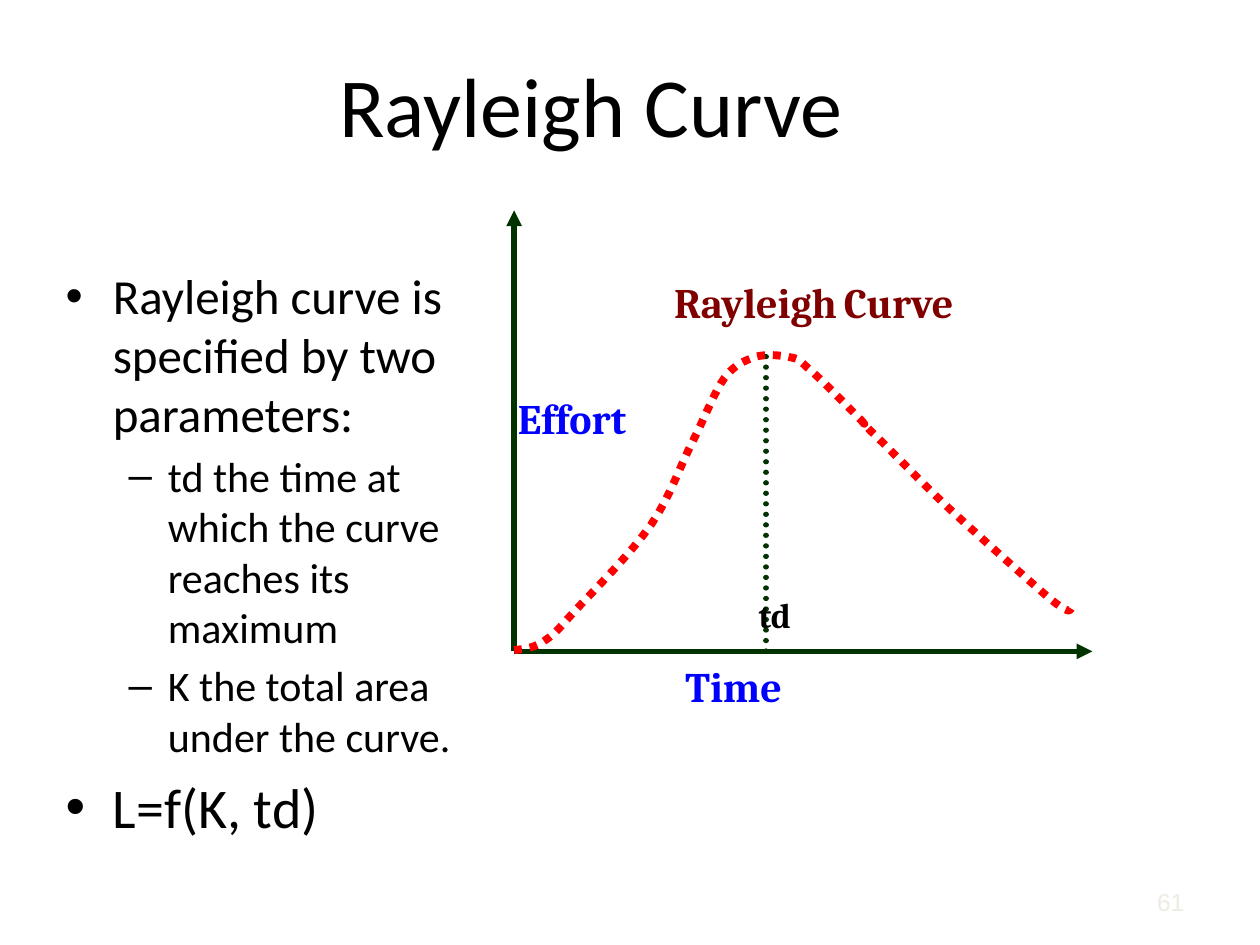
import lxml.etree
import pptx
import pptx.dml.color
import pptx.enum.dml
import pptx.enum.shapes
import pptx.enum.text
import pptx.oxml.ns
import pptx.util
from pptx.util import Inches

COLORS = {"text": "000000", "axis": "003300", "curve": "FF0000",
          "label": "0000FF", "heading": "800000", "number": "EEECE1"}
DOT = pptx.enum.dml.MSO_LINE.ROUND_DOT
qn = pptx.oxml.ns.qn


def set_font(font, name, size, color, bold=False):
    font.name, font.size, font.bold = name, pptx.util.Pt(size), bold
    font.color.rgb = pptx.dml.color.RGBColor.from_string(COLORS[color])


def set_frame(sp, left, top, width, height):
    sp.left, sp.top, sp.width, sp.height = map(Inches, (left, top, width, height))
    tf = sp.text_frame
    tf.word_wrap = True
    tf.auto_size = pptx.enum.text.MSO_AUTO_SIZE.NONE
    tf.margin_left = tf.margin_right = Inches(0.02)
    tf.margin_top = tf.margin_bottom = Inches(0.05)
    return tf


prs = pptx.Presentation()
prs.slide_width, prs.slide_height = Inches(10), Inches(7.5)
s = prs.slides.add_slide(prs.slide_layouts[1])

# Title
tf = set_frame(s.shapes.title, 0.44, 0.2, 8.5, 1.25)
p = tf.paragraphs[0]
p.text = "Rayleigh Curve"
p.alignment = pptx.enum.text.PP_ALIGN.CENTER
p.space_before = pptx.util.Pt(12.1)
set_font(p.font, "Calibri", 48, "text")

# Bullet list: level, size, space before, text
bullets = [
    (0, 28, 5.2, "Rayleigh curve is specified by two parameters:"),
    (1, 24, 4.5, "td the time at which the curve reaches its maximum"),
    (1, 24, 4.5, "K the total area under the curve."),
    (0, 32, 7.1, "L=f(K, td)"),
]
tf = set_frame(s.placeholders[1], 0.5, 2.06, 3.33, 4.56)
for i, (level, size, before, text) in enumerate(bullets):
    p = tf.add_paragraph() if i else tf.paragraphs[0]
    p.text, p.level = text, level
    p.space_before = pptx.util.Pt(before)
    set_font(p.font, "Calibri", size, "text")

# Axes with arrowheads, and the dotted line at the peak
origin = (4.08, 5.17)
lines = [(origin, (4.08, 1.67), True), (origin, (8.67, 5.17), True),
         ((6.08, 2.83), (6.08, 5.17), False)]
for start, end, is_axis in lines:
    sp = s.shapes.add_connector(pptx.enum.shapes.MSO_CONNECTOR.STRAIGHT,
                                *map(Inches, start + end))
    sp.line.width = pptx.util.Pt(3)
    sp.line.color.rgb = pptx.dml.color.RGBColor.from_string(COLORS["axis"])
    ln = sp.line._get_or_add_ln()
    if is_axis:
        lxml.etree.SubElement(ln, qn("a:tailEnd"), type="triangle")
    else:
        sp.line.dash_style = DOT
        ln.set("cap", "rnd")
    lxml.etree.SubElement(sp._element.spPr, qn("a:effectLst"))

# Rayleigh curve: Bezier segments sampled into short steps
start = (4.08, 5.16)
segments = [
    ((4.17, 5.15), (4.25, 5.14), (4.33, 5.08)),
    ((4.42, 5.02), (4.44, 4.98), (4.58, 4.83)),
    ((4.72, 4.68), (5.01, 4.39), (5.17, 4.16)),
    ((5.32, 3.94), (5.4, 3.69), (5.5, 3.5)),
    ((5.6, 3.3), (5.67, 3.11), (5.75, 3)),
    ((5.83, 2.89), (5.92, 2.86), (6, 2.83)),
    ((6.08, 2.81), (6.18, 2.82), (6.25, 2.83)),
    ((6.32, 2.85), (6.32, 2.83), (6.41, 2.92)),
    ((6.51, 3), (6.75, 3.25), (6.83, 3.33)),
    ((6.91, 3.42), (6.79, 3.29), (6.91, 3.42)),
    ((7.04, 3.54), (7.34, 3.86), (7.58, 4.08)),
    ((7.82, 4.3), (8.18, 4.62), (8.33, 4.75)),
    ((8.48, 4.87), (8.49, 4.85), (8.5, 4.83)),
]
steps = 8
points = [start]
for c1, c2, end in segments:
    a = points[-1]
    for i in range(1, steps + 1):
        t = i / steps
        u = 1 - t
        points.append(tuple(
            u**3 * a[k] + 3 * u * u * t * c1[k] + 3 * u * t * t * c2[k] + t**3 * end[k]
            for k in (0, 1)))
points = [(Inches(x), Inches(y)) for x, y in points]
fb = s.shapes.build_freeform(*points[0])
fb.add_line_segments(points[1:], close=False)
sp = fb.convert_to_shape()
sp.shadow.inherit = False
sp.fill.background()
sp.line.width = pptx.util.Pt(4.5)
sp.line.color.rgb = pptx.dml.color.RGBColor.from_string(COLORS["curve"])
sp.line.dash_style = DOT

# Chart labels: frame, space before, colour, runs of text and size
labels = [
    ((4.09, 3.17, 1.07, 0.5), 5.4, "label", [("Effort", 24)]),
    ((5.42, 5.3, 2, 0.5), 13.6, "label", [("Time", 24)]),
    ((6, 4.75, 0.58, 0.43), 11.4, "text", [("td", 20)]),
    ((5.33, 2.25, 3.5, 0.5), 13.6, "heading",
     [("Rayleigh", 24), (" ", 18), ("Curve", 24)]),
]
for frame, before, color, runs in labels:
    tf = set_frame(s.shapes.add_textbox(0, 0, 0, 0), *frame)
    p = tf.paragraphs[0]
    p.line_spacing = 0.72
    p.space_before = pptx.util.Pt(before)
    for text, size in runs:
        r = p.add_run()
        r.text = text
        set_font(r.font, "Cambria", size, color, bold=True)

# Slide number
tf = set_frame(s.shapes.add_textbox(0, 0, 0, 0), 8.4, 6.99, 1.02, 0.35)
p = tf.paragraphs[0]
p.text = "61"
p.alignment = pptx.enum.text.PP_ALIGN.RIGHT
set_font(p.font, "Arial", 14, "number")

prs.save("out.pptx")
